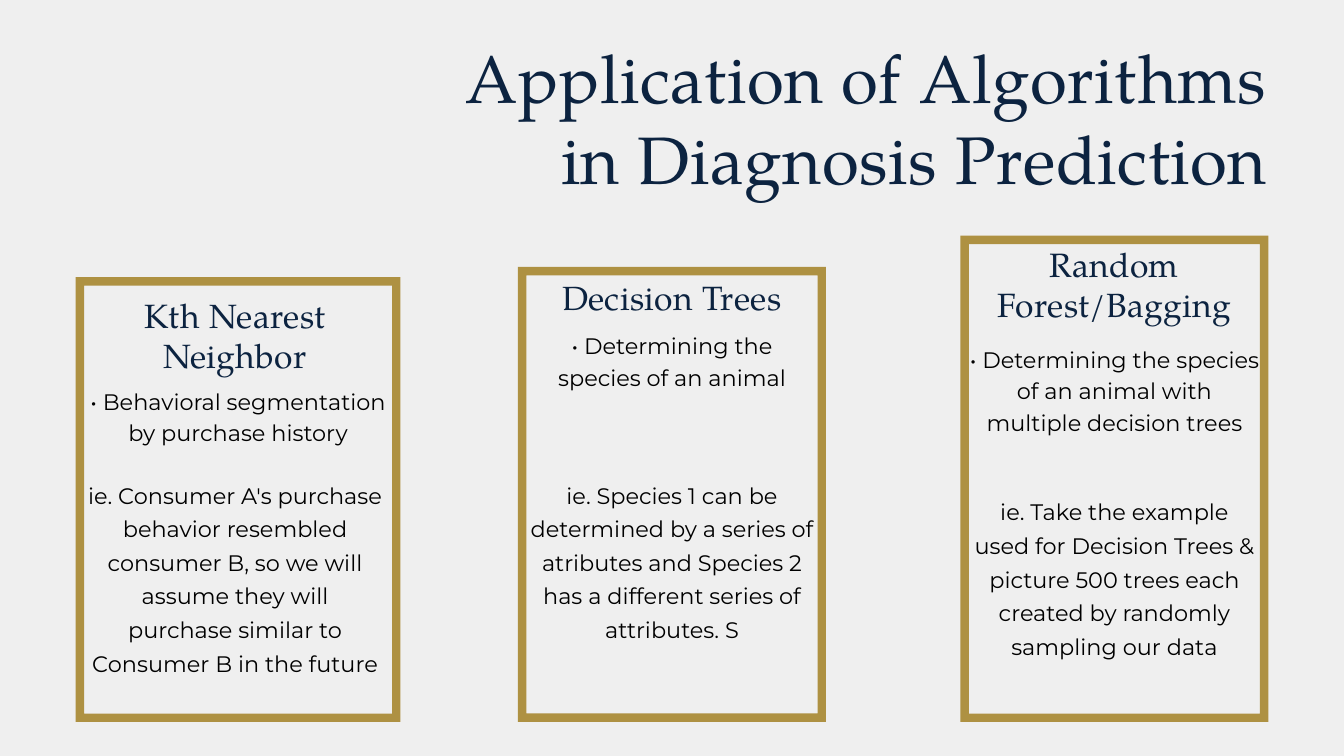
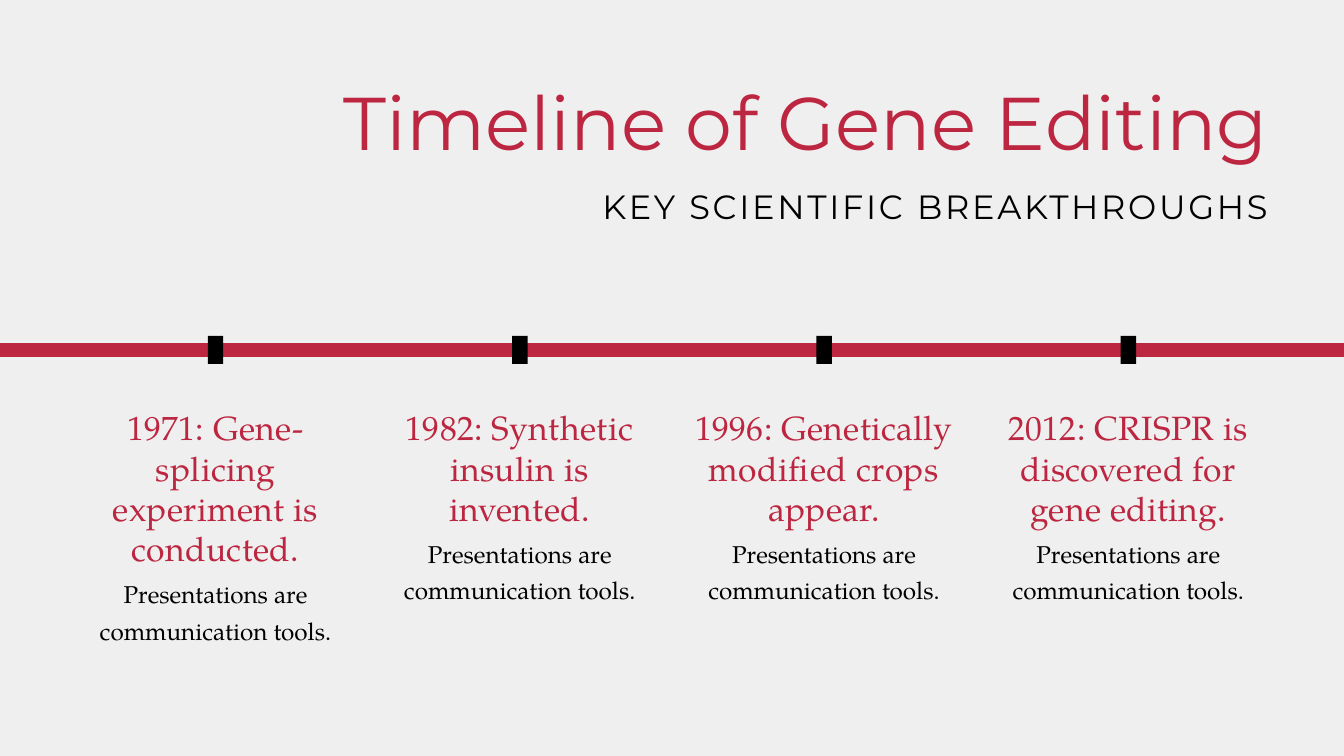
from collections import namedtuple

from pptx import Presentation
from pptx.dml.color import RGBColor
from pptx.enum.shapes import MSO_SHAPE
from pptx.enum.text import MSO_AUTO_SIZE, PP_ALIGN
from pptx.util import Pt

PAPER = RGBColor(0xEF, 0xEF, 0xEF)
NAVY = RGBColor(0x0C, 0x23, 0x40)
GOLD = RGBColor(0xAE, 0x91, 0x42)
CRIMSON = RGBColor(0xBD, 0x26, 0x40)
BLACK = RGBColor(0, 0, 0)
SERIF = "TeX Gyre Pagella"
SANS = "Montserrat"
SLIDE_WIDTH, SLIDE_HEIGHT = 1440, 810
MARGIN = 81
RIGHT_EDGE = SLIDE_WIDTH - MARGIN
FRAME_BOTTOM = 773.5
FRAME_BORDER = 9
COLUMN_WIDTH = 300
HEADING_LINE = 43.2

Box = namedtuple("Box", "left top width height")
Part = namedtuple("Part", "text top width height shift", defaults=(0,))

HEADING = dict(font=SERIF, size=36, line=HEADING_LINE, tracking=0.4)
ALGORITHM_HEADING = dict(HEADING, color=NAVY)
EVENT_HEADING = dict(HEADING, color=CRIMSON)
USE = dict(font=SANS, size=24, line=33.6)
EXAMPLE = dict(font=SANS, size=24, line=36)
EVENT_BODY = dict(font=SERIF, size=26, line=39)

ALGORITHMS = [
    (Box(MARGIN, 297, 348, FRAME_BOTTOM - 297),
     Part("Kth Nearest Neighbor", 18.5, 317.5, 86.4, -3.25),
     Part("• Behavioral segmentation by purchase history", 114, 324, 65.5),
     Part("ie. Consumer A's purchase behavior resembled consumer B, so we will assume they will "
          "purchase similar to Consumer B in the future", 212, 317.5, 216, -3.25)),
    (Box(555, 286, 330, FRAME_BOTTOM - 286),
     Part("Decision Trees", 10.5, 270, 43.2),
     Part("• Determining the species of an animal", 65.5, 306.7, 65.5),
     Part("ie. Species 1 can be determined by a series of atributes and Species 2 has a different "
          "series of attributes. S", 223, 306.7, 180)),
    (Box(1029, 252.5, 330, FRAME_BOTTOM - 252.5),
     Part("Random Forest/Bagging", 9, 270, 86.4),
     Part("• Determining the species of an animal with multiple decision trees", 113.5, 313, 98.5),
     Part("ie. Take the example used for Decision Trees & picture 500 trees each created by "
          "randomly sampling our data", 274.5, 302.4, 180)),
]

EVENTS = [
    ("1971: Gene-splicing experiment is conducted.", 4),
    ("1982: Synthetic insulin is invented.", 3),
    ("1996: Genetically modified crops appear.", 3),
    ("2012: CRISPR is discovered for gene editing.", 3),
]


def add_text(slide, text, box, *, font, size, line, color=BLACK, align=PP_ALIGN.CENTER, tracking=0):
    frame = slide.shapes.add_textbox(*map(Pt, box)).text_frame
    frame.margin_left = frame.margin_right = frame.margin_top = frame.margin_bottom = 0
    frame.word_wrap = True
    frame.auto_size = MSO_AUTO_SIZE.SHAPE_TO_FIT_TEXT
    paragraph = frame.paragraphs[0]
    paragraph.alignment = align
    paragraph.line_spacing = Pt(line)
    run = paragraph.add_run()
    run.text = text
    run.font.name = font
    run.font.size = Pt(size)
    run.font.color.rgb = color
    if tracking:
        run.font._element.set("spc", str(round(tracking * 100)))


def paint(shape, color):
    shape.shadow.inherit = False
    shape.fill.solid()
    shape.fill.fore_color.rgb = color
    shape.line.fill.background()


def add_block(slide, box, color):
    paint(slide.shapes.add_shape(MSO_SHAPE.RECTANGLE, *map(Pt, box)), color)


def add_frame(slide, box):
    left, top = box.left, box.top
    right, bottom = left + box.width, top + box.height
    inner_left, inner_top = left + FRAME_BORDER, top + FRAME_BORDER
    inner_right, inner_bottom = right - FRAME_BORDER, bottom - FRAME_BORDER
    outline = slide.shapes.build_freeform(Pt(left), Pt(top))
    outline.add_line_segments(
        [(Pt(x), Pt(y)) for x, y in ((left, bottom), (right, bottom), (right, top))])
    outline.move_to(Pt(inner_right), Pt(inner_bottom))
    outline.add_line_segments(
        [(Pt(x), Pt(y)) for x, y in
         ((inner_left, inner_bottom), (inner_left, inner_top), (inner_right, inner_top))])
    paint(outline.convert_to_shape(), GOLD)


def add_algorithm(slide, box, heading, use, example):
    add_frame(slide, box)
    for part, style in ((heading, ALGORITHM_HEADING), (use, USE), (example, EXAMPLE)):
        left = box.left + (box.width - part.width) / 2 + part.shift
        add_text(slide, part.text, Box(left, box.top + part.top, part.width, part.height), **style)


def add_event(slide, box, heading, heading_lines):
    heading_height = heading_lines * HEADING_LINE
    add_text(slide, heading, box._replace(height=heading_height), **EVENT_HEADING)
    add_text(slide, "Presentations are communication tools.",
             box._replace(top=box.top + heading_height + 3.6, height=73), **EVENT_BODY)


def add_timeline(slide, box):
    add_block(slide, Box(0, box.top + 7.5, SLIDE_WIDTH, 15), CRIMSON)
    pitch = (box.width - COLUMN_WIDTH) / (len(EVENTS) - 1)
    for index, (heading, heading_lines) in enumerate(EVENTS):
        left = box.left + index * pitch
        add_block(slide, Box(left + COLUMN_WIDTH / 2 - 8.25, box.top, 16.5, 30), BLACK)
        add_event(slide, Box(left, box.top + 76.5, COLUMN_WIDTH, box.height - 76.5),
                  heading, heading_lines)


def add_slide(deck):
    slide = deck.slides.add_slide(deck.slide_layouts[6])
    slide.background.fill.solid()
    slide.background.fill.fore_color.rgb = PAPER
    return slide


def add_title(slide, text, width, top, height, **style):
    add_text(slide, text, Box(RIGHT_EDGE - width, top, width, height),
             align=PP_ALIGN.RIGHT, **style)


def build_algorithms(deck):
    slide = add_slide(deck)
    add_title(slide, "Application of Algorithms in Diagnosis Prediction", 930, 39, 171,
              font=SERIF, size=72, line=86.4, color=NAVY, tracking=0.7)
    for algorithm in ALGORITHMS:
        add_algorithm(slide, *algorithm)


def build_timeline(deck):
    slide = add_slide(deck)
    add_title(slide, "Timeline of Gene Editing", 1050, 81, 96.5,
              font=SANS, size=80, line=96, color=CRIMSON)
    add_title(slide, "KEY SCIENTIFIC BREAKTHROUGHS", 1051, 191.5, 47,
              font=SANS, size=36, line=50.4, tracking=2.9)
    add_timeline(slide, Box(MARGIN, 360, RIGHT_EDGE - MARGIN, 326))


def main():
    deck = Presentation()
    deck.slide_width = Pt(SLIDE_WIDTH)
    deck.slide_height = Pt(SLIDE_HEIGHT)
    build_algorithms(deck)
    build_timeline(deck)
    deck.save("out.pptx")


if __name__ == "__main__":
    main()
